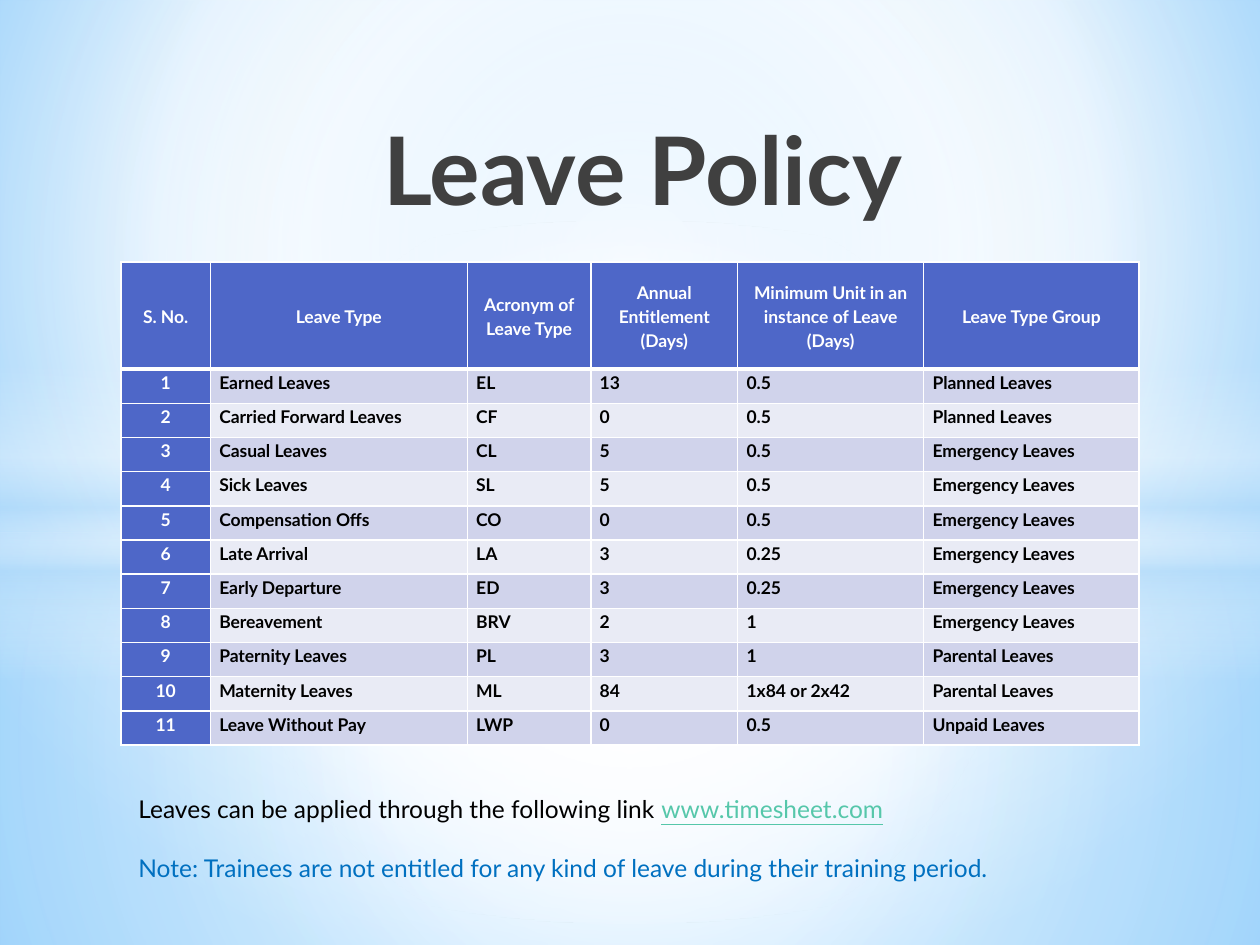
"""Build the leave policy slide: layered backdrop, title, leave table and notes."""
from dataclasses import dataclass

import pptx
import pptx.dml.color
import pptx.enum.shapes
import pptx.enum.text
import pptx.oxml
import pptx.oxml.ns
import pptx.util

Cm = pptx.util.Cm
Pt = pptx.util.Pt
ALIGN = pptx.enum.text.PP_ALIGN
ANCHOR = pptx.enum.text.MSO_ANCHOR
SHAPE = pptx.enum.shapes.MSO_SHAPE
FONT = "Lato"
WHITE, BLACK, INDIGO = "FFFFFF", "000000", "4E67C8"
BANDS = ("E9EBF5", "D0D3EB")
CENTRE = (50, 50, 50, 50)


@dataclass(frozen=True)
class Stop:
    position: int
    color: str
    opacity: int = 100


@dataclass(frozen=True)
class Glow:
    kind: int
    top: float
    height: float
    stops: tuple[Stop, ...]
    radial: bool = True


@dataclass(frozen=True)
class Leave:
    name: str
    acronym: str
    days: str
    minimum: str
    group: str


GLOWS = (
    Glow(SHAPE.RECTANGLE, 10.74, 8.31,
         (Stop(0, WHITE, 91), Stop(37, WHITE, 76), Stop(100, "B4DCFA", 79))),
    Glow(SHAPE.RECTANGLE, 0, 10.74,
         (Stop(0, WHITE, 89), Stop(48, WHITE, 62), Stop(100, "B4DCFA", 79))),
    Glow(SHAPE.RECTANGLE, 7.37, 6.35,
         (Stop(0, WHITE, 0), Stop(29, WHITE, 30), Stop(45, "B4DCFA", 40),
          Stop(55, WHITE, 26), Stop(65, "B4DCFA", 60), Stop(100, WHITE, 0)), radial=False),
    Glow(SHAPE.OVAL, 4.45, 14.17, (Stop(0, WHITE), Stop(54, WHITE, 0))),
)
HEADINGS = ("S. No.", "Leave Type", "Acronym of Leave Type", "Annual Entitlement (Days)",
            "Minimum Unit in an instance of Leave (Days)", "Leave Type Group")
COLUMN_WIDTHS = (1.8, 5.18, 2.49, 2.96, 3.75, 4.34)
HEADER_HEIGHT, ROW_HEIGHT = 2.16, 0.69
LEAVES = (
    Leave("Earned Leaves", "EL", "13", "0.5", "Planned Leaves"),
    Leave("Carried Forward Leaves", "CF", "0", "0.5", "Planned Leaves"),
    Leave("Casual Leaves", "CL", "5", "0.5", "Emergency Leaves"),
    Leave("Sick Leaves", "SL", "5", "0.5", "Emergency Leaves"),
    Leave("Compensation Offs", "CO", "0", "0.5", "Emergency Leaves"),
    Leave("Late Arrival", "LA", "3", "0.25", "Emergency Leaves"),
    Leave("Early Departure", "ED", "3", "0.25", "Emergency Leaves"),
    Leave("Bereavement", "BRV", "2", "1", "Emergency Leaves"),
    Leave("Paternity Leaves", "PL", "3", "1", "Parental Leaves"),
    Leave("Maternity Leaves", "ML", "84", "1x84 or 2x42", "Parental Leaves"),
    Leave("Leave Without Pay", "LWP", "0", "0.5", "Unpaid Leaves"),
)


def rgb(color: str) -> pptx.dml.color.RGBColor:
    return pptx.dml.color.RGBColor.from_string(color)


def paint_gradient(fill, element, stops, radial=True, focus=CENTRE) -> None:
    fill.gradient()
    current = element.find(".//" + pptx.oxml.ns.qn("a:gradFill"))
    stop_xml = "".join(
        f'<a:gs pos="{stop.position * 1000}"><a:srgbClr val="{stop.color}">'
        f'<a:alpha val="{stop.opacity * 1000}"/></a:srgbClr></a:gs>' for stop in stops)
    left, top, right, bottom = (percent * 1000 for percent in focus)
    direction = (
        f'<a:path path="circle"><a:fillToRect l="{left}" t="{top}" r="{right}" b="{bottom}"/></a:path>'
        if radial else '<a:lin ang="5400000" scaled="0"/>')
    gradient = pptx.oxml.parse_xml(
        f'<a:gradFill {pptx.oxml.ns.nsdecls("a")} rotWithShape="1">'
        f'<a:gsLst>{stop_xml}</a:gsLst>{direction}</a:gradFill>')
    current.getparent().replace(current, gradient)


def draw_glow(slide, glow: Glow) -> None:
    shape = slide.shapes.add_shape(glow.kind, 0, Cm(glow.top), Cm(25.4), Cm(glow.height))
    shape.shadow.inherit = False
    shape.line.fill.background()
    paint_gradient(shape.fill, shape.element, glow.stops, glow.radial)


def style_font(font, size: float, color: str, bold: bool = False) -> None:
    font.name, font.size, font.bold = FONT, Pt(size), bold
    font.color.rgb = rgb(color)


def add_text_frame(slide, left: float, top: float, width: float, height: float):
    frame = slide.shapes.add_textbox(Cm(left), Cm(top), Cm(width), Cm(height)).text_frame
    frame.word_wrap = True
    return frame


def draw_title(slide) -> None:
    title = add_text_frame(slide, 0, 2.11, 25.4, 2.95).paragraphs[0]
    title.text = "Leave Policy"
    title.alignment = ALIGN.CENTER
    title._p.get_or_add_pPr().set("marL", str(Cm(0.51)))
    style_font(title.font, 54, "404040", bold=True)


def add_borders(cell, row: int) -> None:
    widths = {"L": 1, "R": 1, "T": 3 if row == 1 else 1, "B": 3 if row == 0 else 1}
    for side, width in widths.items():
        cell._tc.get_or_add_tcPr().append(pptx.oxml.parse_xml(
            f'<a:ln{side} {pptx.oxml.ns.nsdecls("a")} w="{Pt(width)}"><a:solidFill>'
            f'<a:srgbClr val="{WHITE}"/></a:solidFill></a:ln{side}>'))


def fill_cell(cell, text: str, row: int, column: int) -> None:
    heading = row == 0 or column == 0
    cell.margin_left = cell.margin_right = Cm(0.18)
    cell.margin_top = cell.margin_bottom = 0
    cell.vertical_anchor = ANCHOR.MIDDLE if row == 0 else ANCHOR.TOP
    add_borders(cell, row)
    cell.fill.solid()
    cell.fill.fore_color.rgb = rgb(INDIGO if heading else BANDS[row % 2])
    entry = cell.text_frame.paragraphs[0]
    entry.text = text
    entry.alignment = ALIGN.CENTER if heading else ALIGN.JUSTIFY
    entry.line_spacing = 1.15
    style_font(entry.font, 10, WHITE if heading else BLACK, bold=True)


def draw_leave_table(slide) -> None:
    entries = [HEADINGS] + [
        (str(number), leave.name, leave.acronym, leave.days, leave.minimum, leave.group)
        for number, leave in enumerate(LEAVES, 1)]
    leave_table = slide.shapes.add_table(
        len(entries), len(HEADINGS), Cm(2.44), Cm(5.28), Cm(sum(COLUMN_WIDTHS)),
        Cm(HEADER_HEIGHT + ROW_HEIGHT * len(LEAVES))).table
    for column, width in zip(leave_table.columns, COLUMN_WIDTHS):
        column.width = Cm(width)
    for row, texts in enumerate(entries):
        leave_table.rows[row].height = Cm(ROW_HEIGHT if row else HEADER_HEIGHT)
        for column, text in enumerate(texts):
            fill_cell(leave_table.cell(row, column), text, row, column)


def draw_notes(slide) -> None:
    notes = add_text_frame(slide, 2.54, 15.88, 20.75, 2.06)
    application = notes.paragraphs[0]
    application.add_run().text = "Leaves can be applied through the following link "
    address = application.add_run()
    address.text = "www.timesheet.com"
    style_font(application.font, 14, BLACK)
    address.font.color.rgb = rgb("56C7AA")
    address.font.underline = True
    trainees = notes.add_paragraph()
    trainees.text = ("Note: Trainees are not entitled for any kind of leave "
                     "during their training period.")
    trainees.space_before = Pt(16.8)
    style_font(trainees.font, 14, "0070C0")


def main() -> None:
    deck = pptx.Presentation()
    deck.slide_width, deck.slide_height = Cm(25.4), Cm(19.05)
    slide = deck.slides.add_slide(deck.slide_layouts[6])
    paint_gradient(slide.background.fill, slide.element,
                   (Stop(0, "9ED5FF"), Stop(60, WHITE), Stop(100, "5BB9FF")),
                   focus=(20, 10, 20, 60))
    for glow in GLOWS:
        draw_glow(slide, glow)
    draw_title(slide)
    draw_leave_table(slide)
    draw_notes(slide)
    deck.save("out.pptx")


if __name__ == "__main__":
    main()
